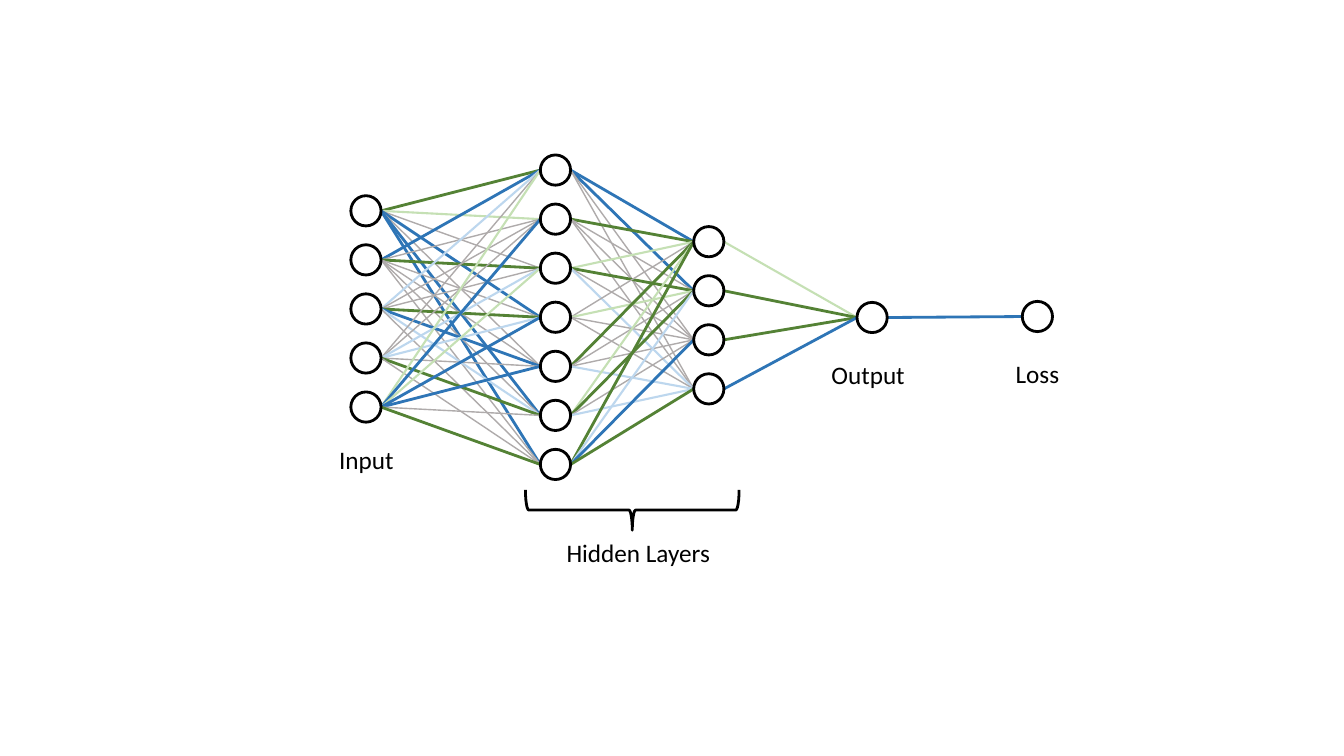
from lxml.etree import SubElement
from pptx import Presentation
from pptx.dml.color import RGBColor
from pptx.enum.shapes import MSO_CONNECTOR, MSO_SHAPE
from pptx.enum.text import MSO_AUTO_SIZE as AutoSize, PP_ALIGN
from pptx.oxml.ns import qn
from pptx.util import Inches, Pt

BLACK = RGBColor(0x00, 0x00, 0x00)
GRAY = RGBColor(0xAF, 0xAB, 0xAB)
GREEN = RGBColor(0x54, 0x82, 0x35)
LIGHT_GREEN = RGBColor(0xC5, 0xE0, 0xB4)
BLUE = RGBColor(0x2E, 0x75, 0xB6)
LIGHT_BLUE = RGBColor(0xBD, 0xD7, 0xEE)

WIDTH, HEIGHT = Inches(13.33), Inches(7.5)
NODE_SIZE = round(HEIGHT * 0.04)
NODE_PITCH = HEIGHT * 0.0649

WEIGHT_STYLES = {
    "G": (GREEN, 2),
    "g": (LIGHT_GREEN, 1.5),
    "B": (BLUE, 2),
    "b": (LIGHT_BLUE, 1.5),
    ".": (GRAY, 1),
}

# Each layer: node count, centre in percent of the slide's width and height.
LAYERS = [
    (5, 27.23, 40.87),
    (7, 41.33, 41.97),
    (4, 52.74, 41.71),
    (1, 64.89, 42),
    (1, 77.19, 41.87),
]

# One string per source node, one letter per target node.
WEIGHTS = [
    ["Gg.B.BB", "B.G....", "b..GBb.", "..bb.G.", "gBgBB.G"],
    ["BB..", "G...", "gG.b", ".g..", "G..b", "gG.b", "GbBG"],
    ["g", "G", "G", "B"],
    ["B"],
]

LABELS = [
    ("Input", 27.27, 60.8, 5.63),
    ("Hidden Layers", 47.49, 73.07, 12.3),
    ("Output", 64.59, 49.6, 7.05),
    ("Loss", 77.19, 49.47, 4.8),
]


def point(x_percent, y_percent):
    """Turn percentages of the slide into a position."""
    return round(WIDTH * x_percent / 100), round(HEIGHT * y_percent / 100)


def layer_centres(count, x_percent, y_percent):
    """Spread the nodes of one layer evenly about its centre."""
    x, y = point(x_percent, y_percent)
    return [(x, round(y + (i - (count - 1) / 2) * NODE_PITCH)) for i in range(count)]


def add_weight(slide, source, target, letter):
    """Join the facing sides of two nodes with a line styled by weight."""
    radius = NODE_SIZE // 2
    edge = slide.shapes.add_connector(
        MSO_CONNECTOR.STRAIGHT,
        source[0] + radius, source[1], target[0] - radius, target[1])
    colour, width = WEIGHT_STYLES[letter]
    edge.line.color.rgb = colour
    edge.line.width = Pt(width)
    SubElement(edge._element.spPr, qn("a:effectLst"))


def add_outline(slide, kind, centre, width, height):
    """Add an unfilled black outline about a centre."""
    x, y = centre
    outline = slide.shapes.add_shape(
        kind, x - width // 2, y - height // 2, width, height)
    outline.shadow.inherit = False
    outline.fill.background()
    outline.line.color.rgb = BLACK
    outline.line.width = Pt(2)
    return outline


def add_label(slide, text, x_percent, y_percent, width_percent):
    """Add a caption centred on a point."""
    x, y = point(x_percent, y_percent)
    width, height = point(width_percent, 5.33)
    label = slide.shapes.add_textbox(x - width // 2, y - height // 2, width, height)
    frame = label.text_frame
    frame.word_wrap = False
    frame.auto_size = AutoSize.SHAPE_TO_FIT_TEXT
    frame.text = text
    caption = frame.paragraphs[0]
    caption.alignment = PP_ALIGN.CENTER
    font = caption.runs[0].font
    font.name, font.size = "Calibri", Pt(18)
    font.color.rgb = BLACK


def main():
    """Build the neural network slide."""
    deck = Presentation()
    deck.slide_width, deck.slide_height = WIDTH, HEIGHT
    slide = deck.slides.add_slide(deck.slide_layouts[6])

    layers = [layer_centres(*layer) for layer in LAYERS]
    for sources, targets, rows in zip(layers, layers[1:], WEIGHTS):
        for source, row in zip(sources, rows):
            for target, letter in zip(targets, row):
                add_weight(slide, source, target, letter)
    for layer in layers:
        for centre in layer:
            add_outline(slide, MSO_SHAPE.OVAL, centre, NODE_SIZE, NODE_SIZE)

    for label in LABELS:
        add_label(slide, *label)
    brace_span, brace_depth = point(15.9, 5.33)
    brace = add_outline(
        slide, MSO_SHAPE.RIGHT_BRACE, point(47.04, 67.47), brace_depth, brace_span)
    brace.rotation = 90

    deck.save("out.pptx")


main()
